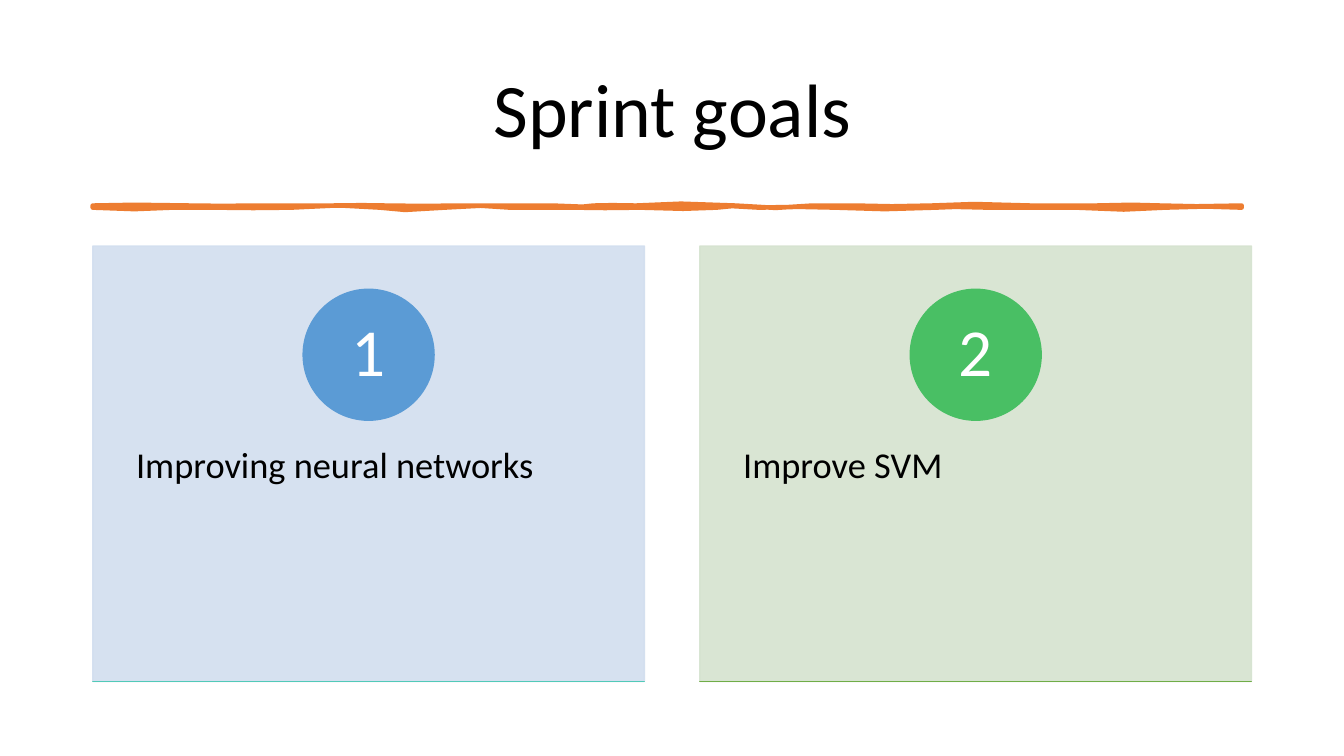
from dataclasses import dataclass

from lxml.etree import SubElement
from pptx import Presentation
from pptx.dml.color import RGBColor
from pptx.enum.shapes import MSO_SHAPE as Form
from pptx.enum.text import MSO_ANCHOR as Anchor, MSO_AUTO_SIZE as Fit, PP_ALIGN as Align
from pptx.oxml.ns import qn
from pptx.shapes.autoshape import Shape
from pptx.slide import Slide
from pptx.text.text import TextFrame
from pptx.util import Cm, Pt

HUES = {
    "black": "000000", "white": "FFFFFF", "orange": "ED7D31",
    "pale blue": "D2DEEF", "blue": "5B9BD5", "teal": "52CAB8",
    "pale green": "D5E3CF", "green": "49BF64", "olive": "70AD47",
}
LEFT, TOP, WIDTH, HEIGHT = 2.34, 6.2, 13.9, 10.97
STEP = 15.3
DISC, DIGIT = 3.3, 2.34
DISC_TOP = 7.29
START = (92, 204)
CURVES = [
    (119, 204, 144, 202, 190, 204), (237, 206, 220, 203, 244, 204),
    (267, 205, 303, 203, 331, 204), (360, 205, 359, 202, 384, 204),
    (410, 206, 423, 203, 460, 204), (498, 205, 514, 203, 548, 204),
    (581, 205, 581, 206, 589, 204), (598, 202, 615, 205, 631, 204),
    (647, 203, 701, 200, 730, 204), (759, 208, 781, 206, 806, 204),
    (831, 202, 827, 206, 848, 204), (868, 202, 901, 208, 924, 204),
    (947, 200, 982, 204, 1023, 204), (1063, 204, 1063, 204, 1087, 204),
    (1112, 204, 1136, 202, 1152, 204), (1168, 206, 1203, 204, 1232, 204),
    (1232, 205, 1232, 205, 1232, 206),
    (1205, 206, 1189, 203, 1156, 206), (1122, 209, 1110, 208, 1068, 206),
    (1027, 204, 1023, 208, 981, 206), (939, 204, 952, 206, 928, 206),
    (904, 206, 851, 210, 829, 206), (806, 202, 782, 208, 753, 206),
    (724, 204, 725, 204, 711, 206), (698, 208, 661, 207, 635, 206),
    (609, 205, 590, 208, 570, 206), (551, 204, 528, 208, 506, 206),
    (483, 204, 473, 203, 441, 206), (409, 209, 390, 209, 377, 206),
    (363, 203, 310, 203, 289, 206), (268, 209, 235, 204, 213, 206),
    (192, 208, 189, 204, 171, 206), (154, 208, 114, 208, 92, 206),
]


@dataclass
class Card:
    label: str
    text: str
    back: str
    disc: str
    base: str


CARDS = [
    Card("1", "Improving neural networks", "pale blue", "blue", "teal"),
    Card("2", "Improve SVM", "pale green", "green", "olive"),
]


def tint(name: str) -> RGBColor:
    return RGBColor.from_string(HUES[name])


def paint(shape: Shape, hue: str, width: float = 1) -> None:
    shape.shadow.inherit = False
    shape.fill.solid()
    shape.fill.fore_color.rgb = tint(hue)
    shape.line.color.rgb = tint(hue)
    shape.line.width = Pt(width)


def fade(shape: Shape, share: int) -> None:
    for color in shape.element.spPr.iter(qn("a:srgbClr")):
        SubElement(color, qn("a:alpha")).set("val", str(share * 1000))


def write(frame: TextFrame, text: str, size: float, hue: str, align: Align,
          anchor: Anchor, pad: tuple[float, float]) -> None:
    frame.text = text
    frame.word_wrap = True
    frame.auto_size = Fit.NONE
    frame.vertical_anchor = anchor
    frame.margin_left = frame.margin_right = Cm(pad[0])
    frame.margin_top = frame.margin_bottom = Cm(pad[1])
    line = frame.paragraphs[0]
    line.alignment = align
    line.line_spacing = 0.9
    font = line.runs[0].font
    font.name, font.size, font.color.rgb = "Calibri", Pt(size), tint(hue)


def trace(steps: int = 2, scale: int = 100) -> list[tuple[float, float]]:
    dots = [(START[0] * scale, START[1] * scale)]
    last = START
    for a, b, c, d, x, y in CURVES:
        for step in range(1, steps + 1):
            t = step / steps
            u = 1 - t
            dots.append(tuple(
                scale * (u**3 * p + 3 * u * u * t * q + 3 * u * t * t * r + t**3 * s)
                for p, q, r, s in zip(last, (a, b), (c, d), (x, y))
            ))
        last = (x, y)
    return dots


def draw_stroke(slide: Slide) -> None:
    dots = trace()
    edge = slide.shapes.build_freeform(*dots[0], scale=Cm(2.54) / 10000)
    edge.add_line_segments(dots[1:], close=True)
    paint(edge.convert_to_shape(), "orange", 3.25)


def draw_form(slide: Slide, kind: Form, left: float, top: float,
              width: float, height: float, hue: str) -> Shape:
    shape = slide.shapes.add_shape(kind, Cm(left), Cm(top), Cm(width), Cm(height))
    paint(shape, hue)
    return shape


def draw_card(slide: Slide, card: Card, left: float) -> None:
    fade(draw_form(slide, Form.RECTANGLE, left, TOP, WIDTH, HEIGHT, card.back), 90)

    body = slide.shapes.add_textbox(Cm(left), Cm(10.36), Cm(WIDTH), Cm(6.58))
    write(body.text_frame, card.text, 26, "black", Align.LEFT, Anchor.TOP, (1.09, 0.91))

    draw_form(slide, Form.OVAL, left + (WIDTH - DISC) / 2, DISC_TOP, DISC, DISC, card.disc)
    digit = slide.shapes.add_textbox(Cm(left + (WIDTH - DIGIT) / 2),
                                     Cm(DISC_TOP + (DISC - DIGIT) / 2), Cm(DIGIT), Cm(DIGIT))
    write(digit.text_frame, card.label, 48, "white", Align.CENTER, Anchor.MIDDLE, (0.25, 0.03))

    draw_form(slide, Form.RECTANGLE, left, TOP + HEIGHT, WIDTH, 0, card.base)


def main() -> None:
    deck = Presentation()
    deck.slide_width, deck.slide_height = Cm(33.87), Cm(19.05)
    slide = deck.slides.add_slide(deck.slide_layouts[5])
    title = slide.shapes.title
    title.left, title.top, title.width, title.height = Cm(LEFT), Cm(1.02), Cm(29.21), Cm(3.68)
    write(title.text_frame, "Sprint goals", 54, "black", Align.CENTER, Anchor.MIDDLE, (0.25, 0.13))
    draw_stroke(slide)
    for place, card in enumerate(CARDS):
        draw_card(slide, card, LEFT + place * STEP)
    deck.save("out.pptx")


if __name__ == "__main__":
    main()
